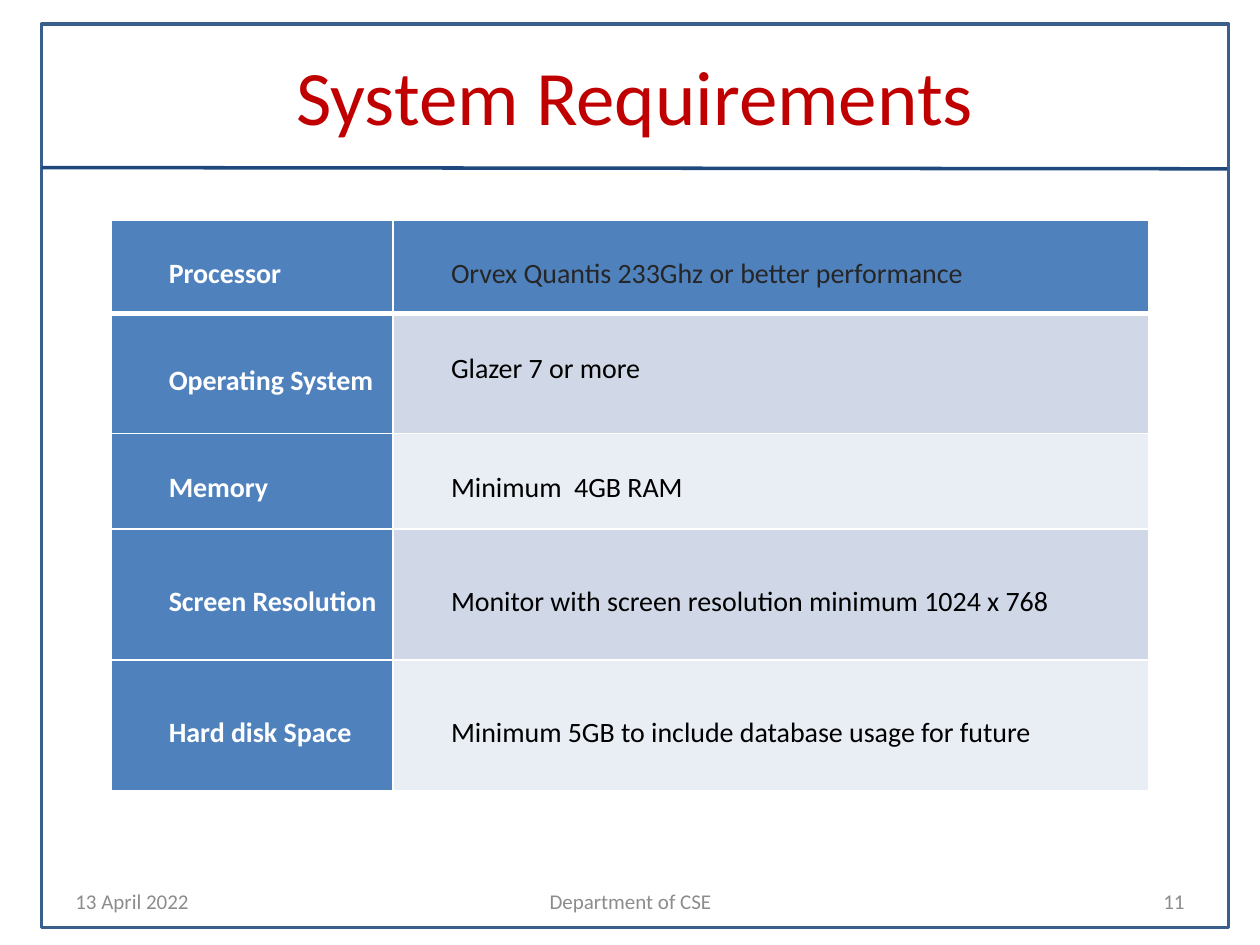
from lxml.etree import SubElement
from pptx import Presentation
from pptx.dml.color import RGBColor
from pptx.enum.shapes import MSO_CONNECTOR as Link, MSO_SHAPE as Shape
from pptx.enum.text import MSO_ANCHOR as Anchor, PP_ALIGN as Align
from pptx.oxml.ns import qn
from pptx.util import Inches, Pt

WHITE = RGBColor(0xFF, 0xFF, 0xFF)
BLACK = RGBColor(0, 0, 0)
DARK = RGBColor(0x26, 0x26, 0x26)
GREY = RGBColor(0x8C, 0x8C, 0x8C)
RED = RGBColor(0xC0, 0, 0)
NAVY = RGBColor(0x1F, 0x49, 0x7D)
STEEL = RGBColor(0x3A, 0x5F, 0x8C)
BLUE = RGBColor(0x4F, 0x81, 0xBD)
BANDS = [RGBColor(0xE9, 0xED, 0xF4), RGBColor(0xD0, 0xD8, 0xE8)]

COLS = [2.24, 6]
ROWS = [
    (0.74, "Processor", "Orvex Quantis 233Ghz or better performance"),
    (0.95, "Operating System", "Glazer 7 or more"),
    (0.76, "Memory", "Minimum  4GB RAM"),
    (1.04, "Screen Resolution", "Monitor with screen resolution minimum 1024 x 768"),
    (1.04, "Hard disk Space", "Minimum 5GB to include database usage for future"),
]
FOOT = [
    (0.5, 2.33, "13 April 2022", Align.LEFT),
    (3.42, 3.17, "Department of CSE", Align.CENTER),
    (7.17, 2.33, "11", Align.RIGHT),
]
LEAD = Pt(13.7)


def write(frame, text, size=16, color=BLACK, bold=False, align=Align.LEFT, lead=None):
    """Put one formatted paragraph into a text frame."""
    para = frame.paragraphs[0]
    para.alignment = align
    if lead:
        para.line_spacing = lead
    run = para.add_run()
    run.text = text
    font = run.font
    font.name, font.size, font.bold = "Calibri", Pt(size), bold
    font.color.rgb = color


def add_frame(slide):
    """Draw the page border and the rule below the title."""
    box = slide.shapes.add_shape(
        Shape.RECTANGLE, Inches(0.33), Inches(0.19), Inches(9.42), Inches(7.17))
    box.shadow.inherit = False
    box.fill.background()
    box.line.color.rgb = STEEL
    box.line.width = Pt(2)
    rule = slide.shapes.add_connector(
        Link.STRAIGHT, Inches(0.33), Inches(1.33), Inches(9.74), Inches(1.34))
    rule.line.color.rgb = NAVY
    rule.line.width = Pt(2)
    SubElement(rule._element.spPr, qn("a:effectLst"))


def add_title(slide, text):
    """Place and format the title."""
    title = slide.shapes.title
    title.left, title.top = Inches(0.33), Inches(0.17)
    title.width, title.height = Inches(9.42), Inches(1.16)
    title.text_frame.vertical_anchor = Anchor.MIDDLE
    write(title.text_frame, text, size=44, color=RED, align=Align.CENTER)


def edge(cell, side, width):
    """Add a white border on one side of a cell."""
    line = SubElement(cell._tc.get_or_add_tcPr(), qn("a:ln" + side), w=str(Pt(width)))
    fill = SubElement(line, qn("a:solidFill"))
    SubElement(fill, qn("a:srgbClr"), val=str(WHITE))


def fill_cell(cell, text, row, col):
    """Format one table cell by its row and column."""
    head = row == 0
    for side in "LRTB":
        thick = (head and side == "B") or (row == 1 and side == "T")
        edge(cell, side, 3 if thick else 1)
    cell.fill.solid()
    cell.fill.fore_color.rgb = BLUE if head or col == 0 else BANDS[row % 2]
    cell.vertical_anchor = Anchor.MIDDLE
    cell.margin_left = Inches(0.46)
    cell.margin_right = cell.margin_bottom = 0
    cell.margin_top = 0 if (row, col) == (1, 1) else LEAD
    color = WHITE if col == 0 else DARK if head else BLACK
    write(cell.text_frame, text, color=color, bold=col == 0, lead=LEAD)


def add_grid(slide):
    """Build the table of requirements."""
    high = sum(row[0] for row in ROWS)
    grid = slide.shapes.add_table(
        len(ROWS), len(COLS), Inches(0.88), Inches(1.75),
        Inches(sum(COLS)), Inches(high)).table
    for col, width in enumerate(COLS):
        grid.columns[col].width = Inches(width)
    for row, (height, *texts) in enumerate(ROWS):
        grid.rows[row].height = Inches(height)
        for col, text in enumerate(texts):
            fill_cell(grid.cell(row, col), text, row, col)


def add_foot(slide, left, width, text, align):
    """Add one footer text."""
    box = slide.shapes.add_textbox(
        Inches(left), Inches(6.95), Inches(width), Inches(0.4))
    box.text_frame.word_wrap = True
    box.text_frame.vertical_anchor = Anchor.MIDDLE
    write(box.text_frame, text, size=12, color=GREY, align=align)


def main():
    """Build and save the slide."""
    deck = Presentation()
    deck.slide_width, deck.slide_height = Inches(10), Inches(7.5)
    slide = deck.slides.add_slide(deck.slide_layouts[5])
    add_frame(slide)
    add_title(slide, "System Requirements")
    add_grid(slide)
    for item in FOOT:
        add_foot(slide, *item)
    deck.save("out.pptx")


if __name__ == "__main__":
    main()
